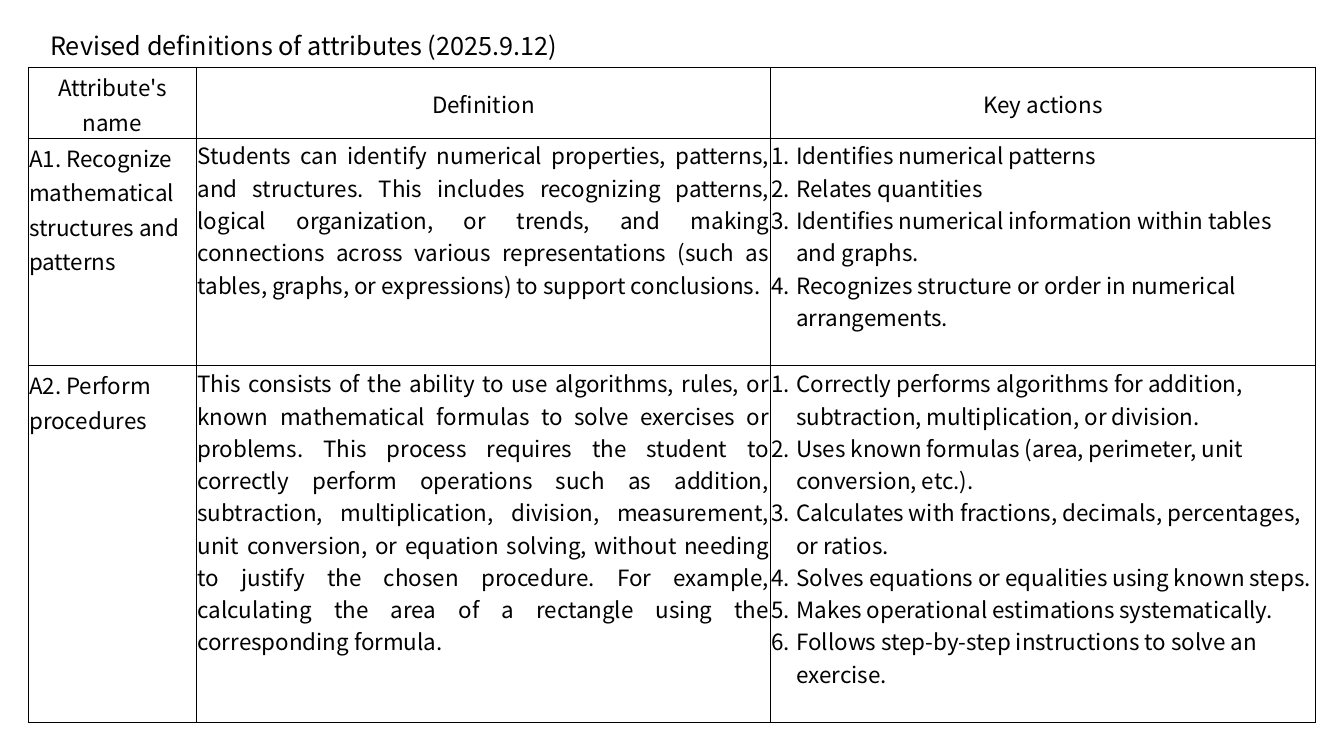
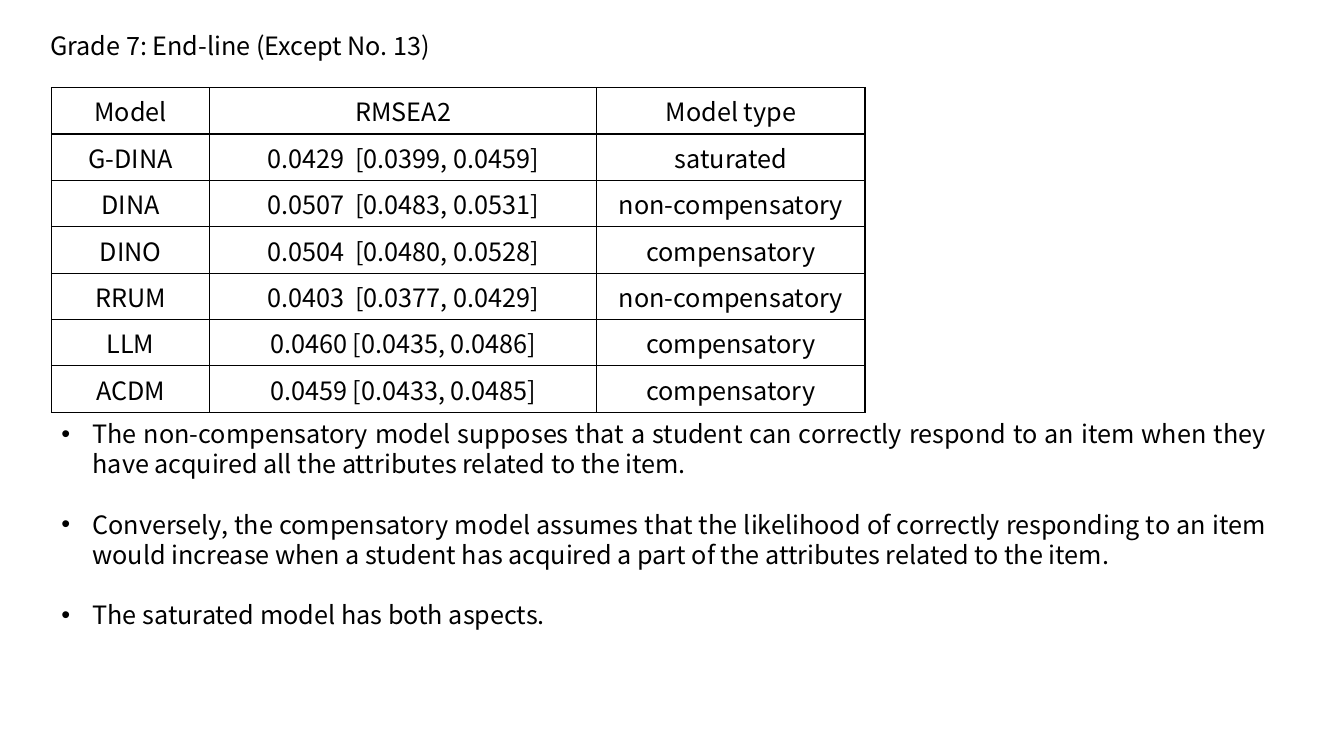
import pptx
import pptx.util
import pptx.dml.color
import pptx.enum.text
import lxml.etree
from pptx.util import Inches, Pt

COLORS = {"text": "000000", "line": "000000"}
FONT = "Noto Sans CJK JP"
NS = "http://schemas.openxmlformats.org/drawingml/2006/main"
ALIGN = pptx.enum.text.PP_ALIGN
ANCHOR = pptx.enum.text.MSO_ANCHOR

TRAITS = {
    "title": "Revised definitions of attributes (2025.9.12)",
    "head": ["Attribute's name", "Definition", "Key actions"],
    "rows": [
        (
            "A1. Recognize mathematical structures and patterns",
            "Students can identify numerical properties, patterns, and structures. "
            "This includes recognizing patterns, logical organization, or trends, "
            "and making connections across various representations (such as tables, "
            "graphs, or expressions) to support conclusions.",
            [
                "Identifies numerical patterns",
                "Relates quantities",
                "Identifies numerical information within tables and graphs.",
                "Recognizes structure or order in numerical arrangements.",
            ],
        ),
        (
            "A2. Perform procedures",
            "This consists of the ability to use algorithms, rules, or known "
            "mathematical formulas to solve exercises or problems. This process "
            "requires the student to correctly perform operations such as addition, "
            "subtraction, multiplication, division, measurement, unit conversion, or "
            "equation solving, without needing to justify the chosen procedure. For "
            "example, calculating the area of a rectangle using the corresponding formula.",
            [
                "Correctly performs algorithms for addition, subtraction, "
                "multiplication, or division.",
                "Uses known formulas (area, perimeter, unit conversion, etc.).",
                "Calculates with fractions, decimals, percentages, or ratios.",
                "Solves equations or equalities using known steps.",
                "Makes operational estimations systematically.",
                "Follows step-by-step instructions to solve an exercise.",
            ],
        ),
    ],
}

MODELS = {
    "title": "Grade 7: End-line (Except No. 13)",
    "rows": [
        ("Model", "RMSEA2", "Model type"),
        ("G-DINA", "0.0429  [0.0399, 0.0459]", "saturated"),
        ("DINA", "0.0507  [0.0483, 0.0531]", "non-compensatory"),
        ("DINO", "0.0504  [0.0480, 0.0528]", "compensatory"),
        ("RRUM", "0.0403  [0.0377, 0.0429]", "non-compensatory"),
        ("LLM", "0.0460 [0.0435, 0.0486]", "compensatory"),
        ("ACDM", "0.0459 [0.0433, 0.0485]", "compensatory"),
    ],
    "notes": [
        "The non-compensatory model supposes that a student can correctly respond "
        "to an item when they have acquired all the attributes related to the item.",
        "Conversely, the compensatory model assumes that the likelihood of correctly "
        "responding to an item would increase when a student has acquired a part of "
        "the attributes related to the item.",
        "The saturated model has both aspects.",
    ],
}


def add_node(parent, tag, **attrs):
    return lxml.etree.SubElement(parent, f"{{{NS}}}{tag}", attrs)


def write(frame, lines, size, align=ALIGN.LEFT, space=None, gap=0):
    frame.word_wrap = True
    frame.text = "\n".join(lines)
    for i, para in enumerate(frame.paragraphs):
        para.alignment = align
        if space:
            para.line_spacing = space
        if gap and i:
            para.space_before = Pt(gap)
        for run in para.runs:
            run.font.name = FONT
            run.font.size = Pt(size)
            run.font.color.rgb = pptx.dml.color.RGBColor.from_string(COLORS["text"])


def add_marks(frame, indent, tag, **attrs):
    for para in frame.paragraphs:
        props = para._p.get_or_add_pPr()
        props.set("marL", str(Inches(indent)))
        props.set("indent", str(-Inches(indent)))
        if tag == "buChar":
            add_node(props, "buFont", typeface="Arial")
        add_node(props, tag, **attrs)


def add_box(slide, left, top, width, height):
    box = slide.shapes.add_textbox(
        Inches(left), Inches(top), Inches(width), Inches(height)
    )
    return box.text_frame


def add_page(deck, title):
    slide = deck.slides.add_slide(deck.slide_layouts[6])
    write(add_box(slide, 0.4, 0.25, 6.66, 0.4), [title], 18, space=Pt(21.6))
    return slide


def add_grid(slide, left, top, widths, heights):
    table = slide.shapes.add_table(
        len(heights), len(widths), Inches(left), Inches(top),
        Inches(sum(widths)), Inches(sum(heights)),
    ).table
    table.first_row = False
    table.horz_banding = False
    for col, width in zip(table.columns, widths):
        col.width = Inches(width)
    for row, height in zip(table.rows, heights):
        row.height = Inches(height)
    for cell in table.iter_cells():
        props = cell._tc.get_or_add_tcPr()
        for side in ("lnL", "lnR", "lnT", "lnB"):
            line = add_node(props, side, w=str(Pt(1)))
            add_node(add_node(line, "solidFill"), "srgbClr", val=COLORS["line"])
        cell.fill.background()
    return table


def add_traits(deck):
    slide = add_page(deck, TRAITS["title"])
    table = add_grid(slide, 0.28, 0.67, [1.67, 5.69, 5.41], [0.7, 2.26, 3.54])
    for cell in table.iter_cells():
        cell.margin_left = cell.margin_right = Inches(0.01)
        cell.margin_top = cell.margin_bottom = Inches(0.01)
    for c, label in enumerate(TRAITS["head"]):
        cell = table.cell(0, c)
        cell.vertical_anchor = ANCHOR.MIDDLE if c else ANCHOR.BOTTOM
        write(cell.text_frame, [label], 16, ALIGN.CENTER, 1.07)
    for r, (name, sense, acts) in enumerate(TRAITS["rows"], 1):
        frames = [table.cell(r, c).text_frame for c in range(3)]
        write(frames[0], [name], 16, space=1.07)
        write(frames[1], [sense], 16, ALIGN.JUSTIFY)
        write(frames[2], acts, 16)
        add_marks(frames[2], 0.25, "buAutoNum", type="arabicPeriod")


def add_models(deck):
    slide = add_page(deck, MODELS["title"])
    rows = MODELS["rows"]
    table = add_grid(slide, 0.51, 0.87, [1.57, 3.84, 2.66], [0.46] * len(rows))
    for r, row in enumerate(rows):
        for c, value in enumerate(row):
            write(table.cell(r, c).text_frame, [value], 18, ALIGN.CENTER)
    frame = add_box(slide, 0.51, 4.1, 12.15, 2.22)
    write(frame, MODELS["notes"], 18, ALIGN.JUSTIFY, Pt(21.6), 21.6)
    add_marks(frame, 0.31, "buChar", char="•")


def main():
    deck = pptx.Presentation()
    deck.slide_width = Inches(13.33)
    deck.slide_height = Inches(7.5)
    add_traits(deck)
    add_models(deck)
    deck.save("out.pptx")


if __name__ == "__main__":
    main()
